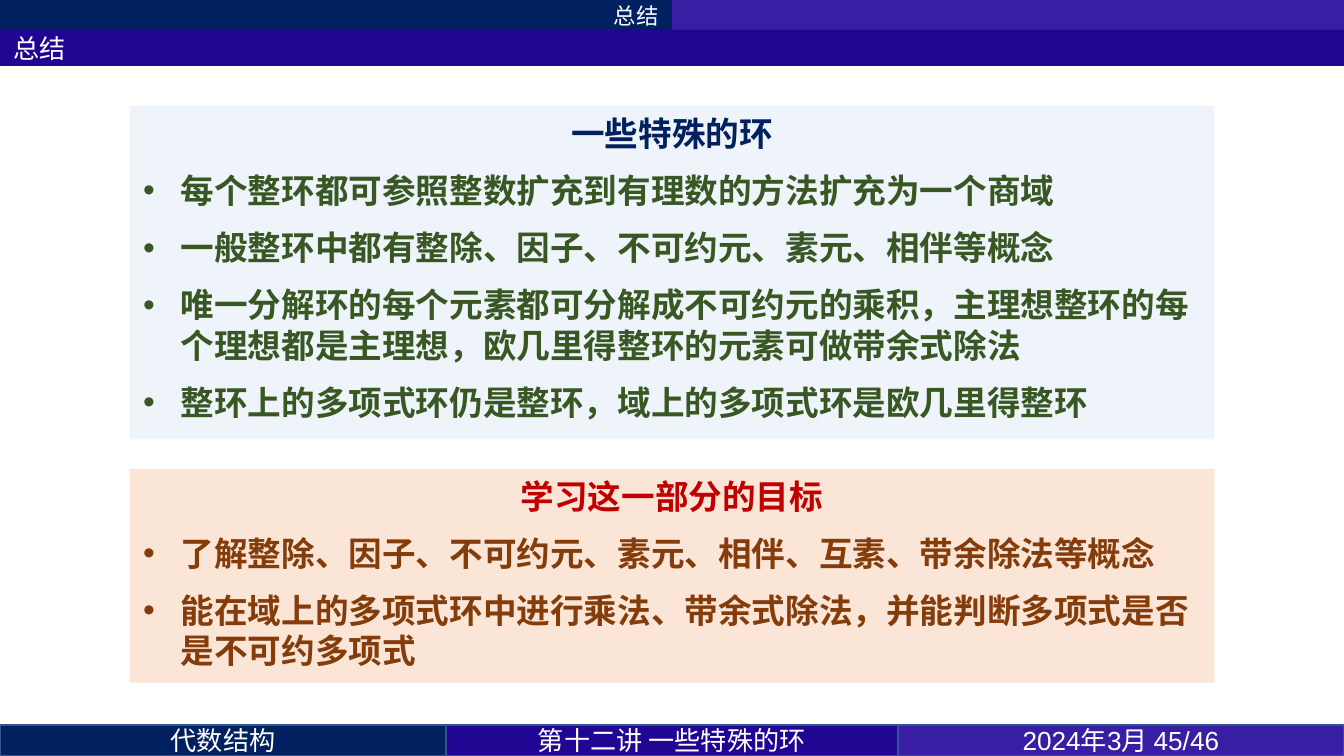
from lxml import etree
from pptx import Presentation, util as u
from pptx.dml.color import RGBColor
from pptx.enum import shapes, text
from pptx.oxml.ns import qn

WIDTH = 10
HEIGHT = WIDTH * 9 / 16
CJK = "Noto Sans CJK SC"
LEFT, CENTER, RIGHT = text.PP_ALIGN.LEFT, text.PP_ALIGN.CENTER, text.PP_ALIGN.RIGHT
WHITE, NAVY, INDIGO, VIOLET, EDGE = "FFFFFF", "002060", "210694", "371EA2", "325491"

TITLE = "总结"
SECTION = "总结"
PANELS = [
    {"heading": "一些特殊的环", "heading_color": NAVY, "color": "385723",
     "fill": "DEEBF7", "opacity": 50, "top": 0.79, "height": 2.48,
     "points": [
         "每个整环都可参照整数扩充到有理数的方法扩充为一个商域",
         "一般整环中都有整除、因子、不可约元、素元、相伴等概念",
         "唯一分解环的每个元素都可分解成不可约元的乘积，主理想整环的每个理想都是主理想，"
         "欧几里得整环的元素可做带余式除法",
         "整环上的多项式环仍是整环，域上的多项式环是欧几里得整环"]},
    {"heading": "学习这一部分的目标", "heading_color": "C00000", "color": "843C0B",
     "fill": "FBE5D6", "opacity": 100, "top": 3.49, "height": 1.59,
     "points": [
         "了解整除、因子、不可约元、素元、相伴、互素、带余除法等概念",
         "能在域上的多项式环中进行乘法、带余式除法，并能判断多项式是否是不可约多项式"]},
]
FOOTER = [("代数结构", 3.32, NAVY, CJK),
          ("第十二讲 一些特殊的环", 3.36, INDIGO, CJK),
          ("2024年3月 45/46", 3.32, VIOLET, "Arial")]

PANEL_WIDTH = 8.07
BAR_HEIGHT = 0.23
TITLE_TOP, TITLE_HEIGHT = 0.22, 0.27
INDENT, GAP = 0.28, 4.5


def color(hex_text):
    return RGBColor.from_string(hex_text)


def place(shape, left, top, width, height):
    shape.left, shape.top = u.Inches(left), u.Inches(top)
    shape.width, shape.height = u.Inches(width), u.Inches(height)


def paint(shape, fill, opacity=100):
    shape.fill.solid()
    shape.fill.fore_color.rgb = color(fill)
    if opacity < 100:
        choice = shape.fill._xPr.find(qn("a:solidFill"))[0]
        etree.SubElement(choice, qn("a:alpha"), val=str(opacity * 1000))


def style(paragraph, size, font_name, font_color, align=LEFT, bold=False):
    paragraph.alignment = align
    for run in paragraph.runs:
        font = run.font
        font.size, font.bold, font.name = u.Pt(size), bold, font_name
        font.color.rgb = color(font_color)
        etree.SubElement(run._r.get_or_add_rPr(), qn("a:ea"), typeface=CJK)


def set_bullet(paragraph, bullet=None):
    """Give the paragraph a hanging bullet, or none at all."""
    properties = paragraph._p.get_or_add_pPr()
    indent = u.Inches(INDENT) if bullet else 0
    properties.set("marL", str(indent))
    properties.set("indent", str(-indent))
    if bullet:
        etree.SubElement(properties, qn("a:buChar"), char=bullet)
    else:
        etree.SubElement(properties, qn("a:buNone"))


def write(shape, lines, anchor):
    frame = shape.text_frame
    frame.text = "\n".join(lines)
    frame.word_wrap = True
    frame.auto_size = text.MSO_AUTO_SIZE.NONE
    frame.vertical_anchor = anchor
    return frame.paragraphs


def write_line(shape, words, size, font_name, align):
    paragraph, = write(shape, [words], text.MSO_ANCHOR.MIDDLE)
    style(paragraph, size, font_name, WHITE, align)


def add_bar(slide, left, top, width, fill, edge=None):
    bar = slide.shapes.add_shape(shapes.MSO_SHAPE.RECTANGLE, 0, 0, 0, 0)
    place(bar, left, top, width, BAR_HEIGHT)
    bar.shadow.inherit = False
    paint(bar, fill)
    if edge:
        bar.line.color.rgb = color(edge)
        bar.line.width = u.Pt(1)
    else:
        bar.line.fill.background()
    return bar


def fill_panel(shape, panel):
    place(shape, (WIDTH - PANEL_WIDTH) / 2, panel["top"], PANEL_WIDTH, panel["height"])
    paint(shape, panel["fill"], panel["opacity"])
    paragraphs = write(shape, [panel["heading"], *panel["points"]], text.MSO_ANCHOR.TOP)
    heading, *points = paragraphs
    set_bullet(heading)
    style(heading, 18, "Calibri", panel["heading_color"], CENTER, bold=True)
    for point in points:
        set_bullet(point, "•")
        style(point, 18, CJK, panel["color"], bold=True)
    for paragraph in paragraphs:
        paragraph.space_before = u.Pt(0 if paragraph is heading else GAP)
        paragraph.space_after = u.Pt(GAP)


def main():
    presentation = Presentation()
    presentation.slide_width, presentation.slide_height = u.Inches(WIDTH), u.Inches(HEIGHT)
    two_content = presentation.slide_layouts[3]
    slide = presentation.slides.add_slide(two_content)
    title, *bodies = slide.placeholders

    for body, panel in zip(bodies, PANELS):
        fill_panel(body, panel)

    section = add_bar(slide, 0, 0, WIDTH / 2, NAVY)
    write_line(section, SECTION, 12, CJK, RIGHT)
    add_bar(slide, WIDTH / 2, 0, WIDTH / 2, VIOLET)

    # The title overlaps the lower edge of the section bars.
    slide.shapes._spTree.append(title._element)
    place(title, 0, TITLE_TOP, WIDTH, TITLE_HEIGHT)
    paint(title, INDIGO)
    write_line(title, TITLE, 14, "Calibri", LEFT)

    left = 0
    for words, width, fill, font_name in FOOTER:
        cell = add_bar(slide, left, HEIGHT - BAR_HEIGHT, width, fill, EDGE)
        write_line(cell, words, 14, font_name, CENTER)
        left += width

    presentation.save("out.pptx")


if __name__ == "__main__":
    main()
